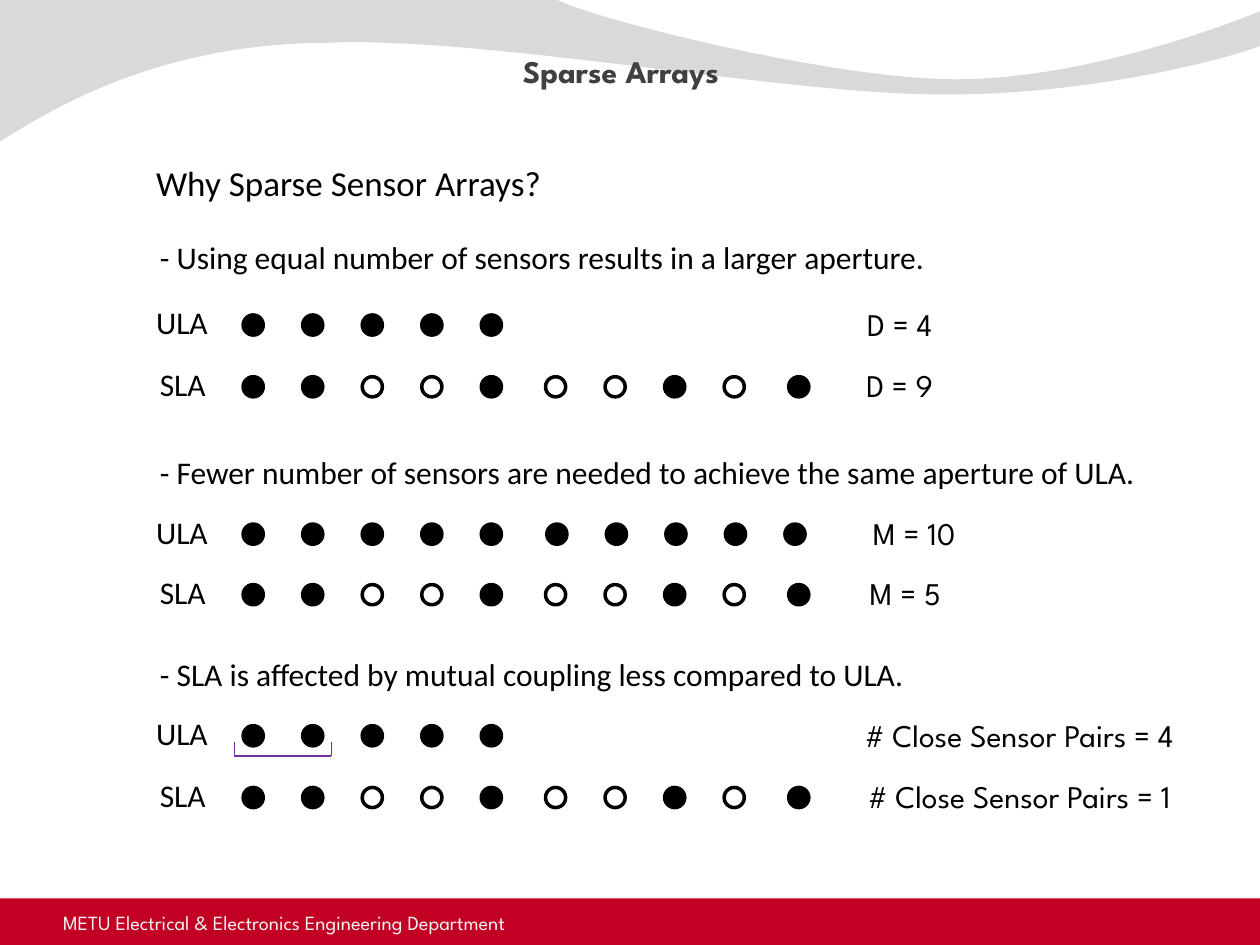
from pptx import Presentation
from pptx.dml.color import RGBColor
from pptx.enum.shapes import MSO_CONNECTOR, MSO_SHAPE
from pptx.enum.text import MSO_ANCHOR, PP_ALIGN
from pptx.oxml.ns import qn
from pptx.util import Inches, Pt
from lxml import etree

LEFT, CENTER = PP_ALIGN.LEFT, PP_ALIGN.CENTER
TOP, BOTTOM = MSO_ANCHOR.TOP, MSO_ANCHOR.BOTTOM
OVAL, RECTANGLE = MSO_SHAPE.OVAL, MSO_SHAPE.RECTANGLE
STRAIGHT = MSO_CONNECTOR.STRAIGHT

BLACK, WHITE, RED, GRAY, PURPLE = "000000", "FFFFFF", "C20024", "D9D9D9", "7030A0"
BODY_FONT, DISPLAY_FONT = "Calibri", "League Spartan"
DOT_SIZE, DOT_PITCH = 0.16, 0.4725
LABEL_RISE, VALUE_RISE = 0.14, 0.13

SHORT_ULA = [(1.93, "11111")]
FULL_ULA = [(1.93, "11111"), (4.34, "11111")]
SPARSE = [(1.93, "11001"), (4.33, "0010"), (6.26, "1")]

SECTIONS = [
    (1.84, 6.28, "- Using equal number of sensors results in a larger aperture.",
     [("ULA", 2.5, SHORT_ULA, "D = 4", 6.73, 0.82),
      ("SLA", 2.99, SPARSE, "D = 9", 6.73, 0.82)]),
    (3.55, 7.97, "- Fewer number of sensors are needed to achieve the same aperture of ULA.",
     [("ULA", 4.16, FULL_ULA, "M = 10", 6.75, 1.01),
      ("SLA", 4.64, SPARSE, "M = 5", 6.75, 0.87)]),
    (5.15, 6.18, "- SLA is affected by mutual coupling less compared to ULA.",
     [("ULA", 5.76, SHORT_ULA, "# Close Sensor Pairs = 4", 6.57, 3.04),
      ("SLA", 6.25, SPARSE, "# Close Sensor Pairs = 1", 6.57, 3.04)]),
]
LABEL_BOXES = {"ULA": (1.14, 0.62), "SLA": (1.17, 0.57)}

WAVE_START = (0, -0.01)
WAVE_TOP = [
    ((4.4, -0.01), (4.76, 0.17), (6.64, 0.63), (7.58, 0.63)),
    ((7.58, 0.63), (8.53, 0.63), (9.58, 0.26), (10, 0.09)),
]
WAVE_BOTTOM = [
    ((10.01, 0.36), (9.83, 0.44), (8.7, 0.76), (7.46, 0.75)),
    ((7.46, 0.75), (6.22, 0.75), (3.82, 0.28), (2.57, 0.34)),
    ((2.57, 0.34), (1.29, 0.35), (0.46, 0.83), (-0.01, 1.13)),
]


def color(value):
    return RGBColor.from_string(value)


def place(shape, box):
    shape.left, shape.top, shape.width, shape.height = map(Inches, box)


def write(shape, text, size, font, ink=BLACK, align=LEFT, bold=False, anchor=TOP):
    frame = shape.text_frame
    frame.text = text
    frame.word_wrap = False
    frame.vertical_anchor = anchor
    para = frame.paragraphs[0]
    para.alignment = align
    span = para.runs[0].font
    span.size, span.name, span.bold = Pt(size), font, bold
    span.color.rgb = color(ink)
    return frame


def add_text(page, box, text, size=18, font=BODY_FONT, **style):
    shape = page.shapes.add_textbox(*map(Inches, box))
    return write(shape, text, size, font, **style)


def paint(shape, fill, line=None):
    shape.shadow.inherit = False
    shape.fill.solid()
    shape.fill.fore_color.rgb = color(fill)
    if line:
        shape.line.color.rgb = color(line)
        shape.line.width = Pt(2)
    else:
        shape.line.fill.background()


def curve_points(curve, steps=24):
    for step in range(steps + 1):
        t = step / steps
        weights = ((1 - t) ** 3, 3 * t * (1 - t) ** 2, 3 * t * t * (1 - t), t ** 3)
        yield tuple(Inches(sum(w * point[axis] for w, point in zip(weights, curve)))
                    for axis in (0, 1))


def add_wave(page):
    builder = page.shapes.build_freeform(*map(Inches, WAVE_START))
    points = [point for curve in WAVE_TOP + WAVE_BOTTOM for point in curve_points(curve)]
    builder.add_line_segments(points, close=True)
    paint(builder.convert_to_shape(), GRAY)


def add_footer(page, box):
    left, top, width, height = box
    bar = page.shapes.add_shape(RECTANGLE, *map(Inches, box))
    paint(bar, RED)
    frame = add_text(page, (left + 0.5, top, 4.38, 0.29),
                     "METU Electrical & Electronics Engineering Department",
                     11.5, DISPLAY_FONT, ink="F2F2F2", anchor=BOTTOM)
    frame.margin_left = frame.margin_top = frame.margin_right = frame.margin_bottom = 0


def add_title(page, box):
    title = page.shapes.title
    place(title, box)
    write(title, "Sparse Arrays", 18, DISPLAY_FONT, ink="404040", bold=True)
    title.element.getparent().append(title.element)


def add_array(page, top, groups):
    for start, pattern in groups:
        for index, sensor in enumerate(pattern):
            box = (start + index * DOT_PITCH, top, DOT_SIZE, DOT_SIZE)
            dot = page.shapes.add_shape(OVAL, *map(Inches, box))
            paint(dot, BLACK if sensor == "1" else WHITE, BLACK)


def add_section(page, top, width, heading, rows):
    add_text(page, (1.17, top, width, 0.4), heading)
    for label, row_top, groups, value, value_left, value_width in rows:
        label_left, label_width = LABEL_BOXES[label]
        add_text(page, (label_left, row_top - LABEL_RISE, label_width, 0.4), label)
        add_array(page, row_top, groups)
        add_text(page, (value_left, row_top - VALUE_RISE, value_width, 0.4), value,
                 font=DISPLAY_FONT, align=CENTER)


def add_bracket(page, box):
    left, top, width, height = box
    right, bottom = left + width, top + height
    for ends in ((left, top, left, bottom), (right, top, right, bottom),
                 (left, bottom, right, bottom)):
        line = page.shapes.add_connector(STRAIGHT, *map(Inches, ends))
        line.line.color.rgb = color(PURPLE)
        line.line.width = Pt(0.75)
        etree.SubElement(line.element.spPr, qn("a:effectLst"))


def main():
    deck = Presentation()
    deck.slide_width, deck.slide_height = Inches(10), Inches(7.5)
    page = deck.slides.add_slide(deck.slide_layouts[5])
    add_footer(page, (0, 7.13, 10, 0.37))
    add_wave(page)
    add_title(page, (4.05, 0.36, 1.86, 0.4))
    add_text(page, (1.14, 1.23, 3.28, 0.44), "Why Sparse Sensor Arrays?", 20)
    for section in SECTIONS:
        add_section(page, *section)
    add_bracket(page, (1.86, 5.89, 0.77, 0.11))
    deck.save("out.pptx")


if __name__ == "__main__":
    main()
